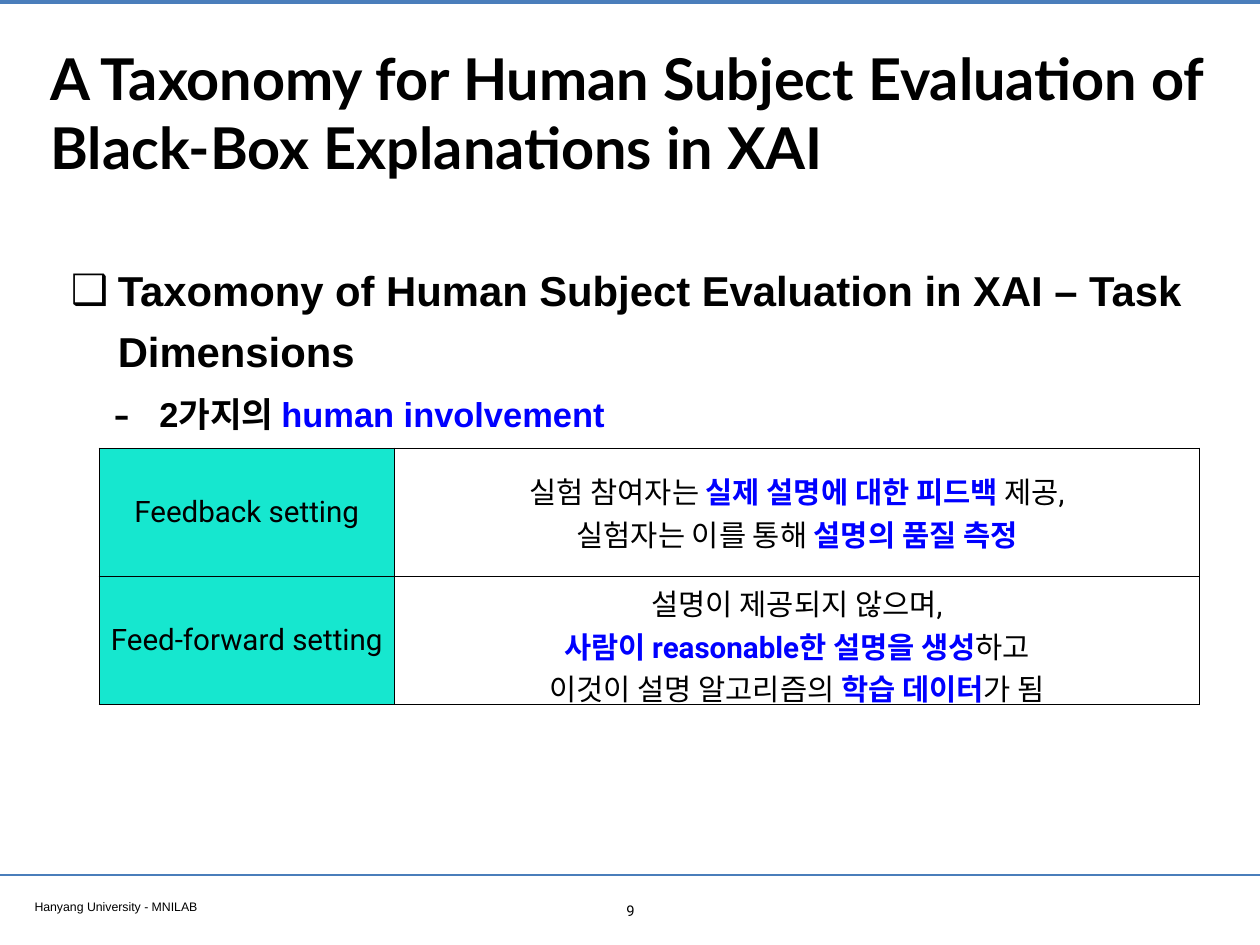
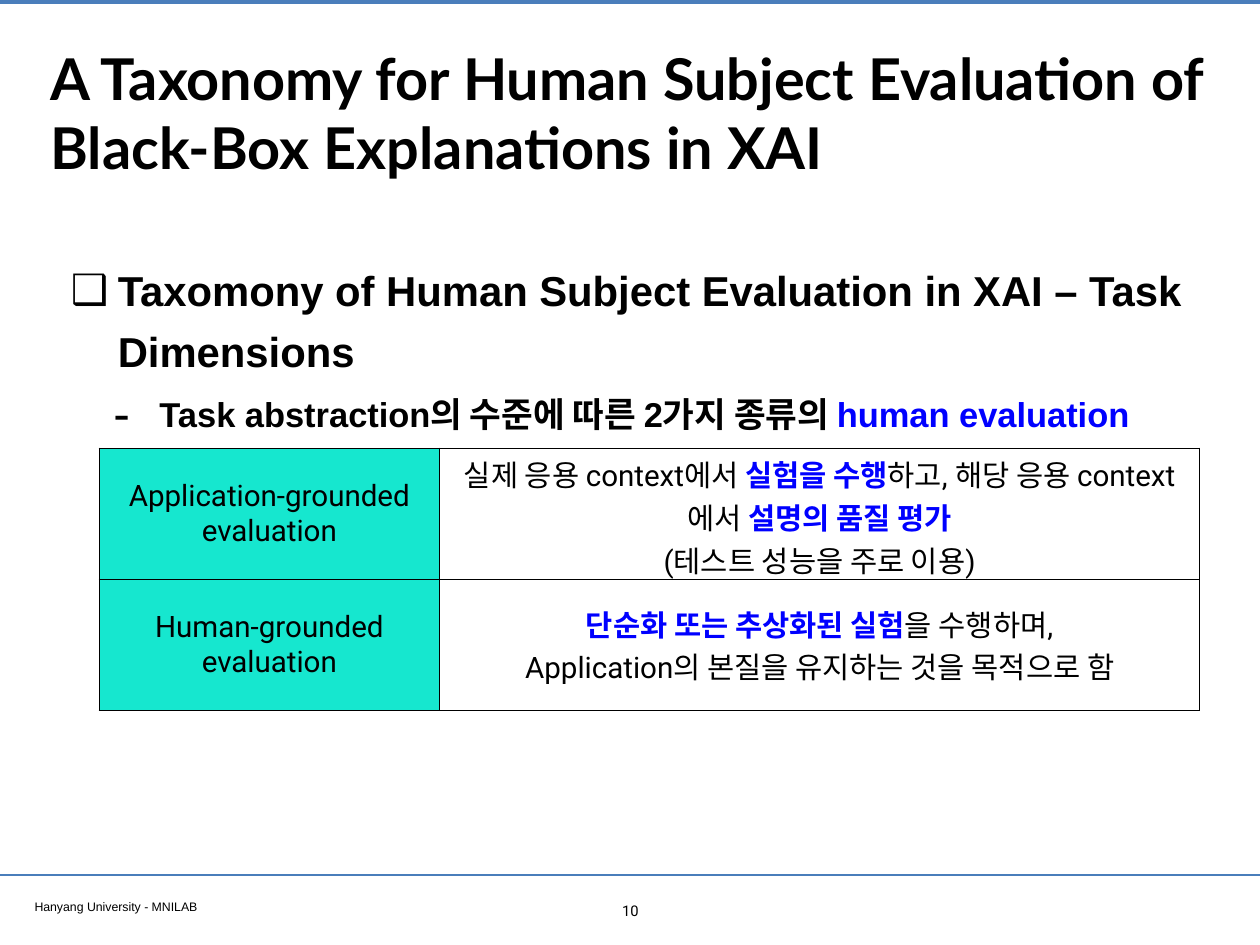
"""Build two slides on the task dimensions of human subject evaluation in XAI."""
from dataclasses import dataclass

from lxml.etree import SubElement
from pptx import Presentation
from pptx.dml.color import RGBColor
from pptx.enum.shapes import MSO_CONNECTOR
from pptx.enum.text import MSO_ANCHOR, PP_ALIGN
from pptx.oxml.ns import qn
from pptx.util import Inches, Pt


@dataclass(frozen=True)
class Theme:
    """Hold the colours, fonts and type sizes of the deck."""
    text: str = "000000"
    highlight: str = "0000FF"
    rule: str = "4A7EBB"
    label_fill: str = "16E7CF"
    cell_fill: str = "FFFFFF"
    title_font: str = "Lato"
    body_font: str = "Arial"
    table_font: str = "Roboto"
    title_size: float = 46.8
    heading_size: float = 34
    point_size: float = 28
    table_size: float = 24
    number_size: float = 12
    footer_size: float = 10


THEME = Theme()
WIDTH, HEIGHT = 14.22, 10.67
INSET = 0.06
TABLE_LEFT, TABLE_TOP, TABLE_WIDTH = 1.12, 5.06, 12.42
FIRST_NUMBER = 9
TITLE = "A Taxonomy for Human Subject Evaluation of Black-Box Explanations in XAI"
HEADING = "Taxomony of Human Subject Evaluation in XAI – Task Dimensions"
FOOTER = "Hanyang University - MNILAB"

SLIDES = [
    {
        "point": "2가지의 *human involvement*",
        "label_width": 3.33,
        "row_height": 1.45,
        "rows": [
            ("Feedback setting",
             ["실험 참여자는 *실제 설명에 대한 피드백 *제공,",
              "실험자는 이를 통해 *설명의 품질 측정*"]),
            ("Feed-forward setting",
             ["설명이 제공되지 않으며,",
              "*사람이 reasonable한 설명을 생성*하고",
              "이것이 설명 알고리즘의 *학습 데이터*가 됨"]),
        ],
    },
    {
        "point": "Task abstraction의 수준에 따른 2가지 종류의 *human evaluation*",
        "label_width": 3.84,
        "row_height": 1.48,
        "rows": [
            ("Application-grounded evaluation",
             ["실제 응용 context에서 *실험을 수행*하고, 해당 응용 context에서 *설명의 품질 평가*",
              "(테스트 성능을 주로 이용)"]),
            ("Human-grounded evaluation",
             ["*단순화 또는 추상화된 실험*을 수행하며,",
              "Application의 본질을 유지하는 것을 목적으로 함"]),
        ],
    },
]


def write_text(paragraph, text, *, font, size, bold=False, align=PP_ALIGN.LEFT):
    """Write text into a paragraph, with parts between asterisks highlighted."""
    paragraph.alignment = align
    for index, part in enumerate(text.split("*")):
        if not part:
            continue
        highlighted = index % 2 == 1
        run = paragraph.add_run()
        run.text = part
        run.font.name = font
        run.font.size = Pt(size)
        run.font.bold = bold or highlighted
        color = THEME.highlight if highlighted else THEME.text
        run.font.color.rgb = RGBColor.from_string(color)


def add_text_box(slide, left, top, width, height, anchor=MSO_ANCHOR.TOP):
    """Add a wrapping text box and return its text frame."""
    box = slide.shapes.add_textbox(Inches(left), Inches(top), Inches(width), Inches(height))
    frame = box.text_frame
    frame.word_wrap = True
    frame.vertical_anchor = anchor
    frame.margin_left = frame.margin_right = Inches(INSET)
    frame.margin_top = frame.margin_bottom = Inches(INSET)
    return frame


def add_rule(slide, top, weight):
    """Add a horizontal rule across the slide."""
    rule = slide.shapes.add_connector(
        MSO_CONNECTOR.STRAIGHT, 0, Inches(top), Inches(WIDTH), Inches(top))
    rule.line.color.rgb = RGBColor.from_string(THEME.rule)
    rule.line.width = Pt(weight)
    SubElement(rule._element.spPr, qn("a:effectLst"))


def set_bullet(paragraph, character, *, indent, hanging, percent=100):
    """Give a paragraph a bullet with a hanging indent."""
    properties = paragraph._p.get_or_add_pPr()
    properties.set("marL", str(Inches(indent)))
    properties.set("indent", str(-Inches(hanging)))
    SubElement(properties, qn("a:buSzPct"), val=str(percent * 1000))
    SubElement(properties, qn("a:buFont"), typeface=THEME.body_font)
    SubElement(properties, qn("a:buChar"), char=character)
    paragraph.line_spacing = 1.2


def add_frame(slide, number):
    """Add the rules, title, footer and number shared by all slides."""
    add_rule(slide, 0.02, 3.2)
    add_rule(slide, 9.88, 2)
    footer = add_text_box(slide, 0.33, 10.09, 5.46, 0.26)
    write_text(footer.paragraphs[0], FOOTER, font=THEME.body_font, size=THEME.footer_size)
    title = add_text_box(slide, 0.51, 0.28, 13.21, 1.97, MSO_ANCHOR.MIDDLE)
    write_text(title.paragraphs[0], TITLE, font=THEME.title_font,
               size=THEME.title_size, bold=True)
    counter = add_text_box(slide, 6.92, 10.12, 0.39, 0.31)
    write_text(counter.paragraphs[0], str(number), font=THEME.table_font,
               size=THEME.number_size, align=PP_ALIGN.CENTER)


def add_body(slide, point):
    """Add the heading and the point below it."""
    frame = add_text_box(slide, 0.74, 2.82, 13.35, 2.12)
    heading = frame.paragraphs[0]
    set_bullet(heading, "❑", indent=0.53, hanging=0.53)
    write_text(heading, HEADING, font=THEME.body_font, size=THEME.heading_size, bold=True)
    detail = frame.add_paragraph()
    detail.level = 1
    set_bullet(detail, "-", indent=1, hanging=0.52, percent=145)
    detail.space_before = Pt(8)
    write_text(detail, point, font=THEME.body_font, size=THEME.point_size, bold=True)


def set_borders(cell):
    """Draw a thin border on all four sides of a cell."""
    properties = cell._tc.get_or_add_tcPr()
    for position, side in enumerate(("lnL", "lnR", "lnT", "lnB")):
        line = properties.makeelement(qn(f"a:{side}"), {"w": str(Pt(1))})
        fill = SubElement(line, qn("a:solidFill"))
        SubElement(fill, qn("a:srgbClr"), val=THEME.text)
        properties.insert(position, line)


def fill_cell(cell, lines, color):
    """Fill a cell with centred lines on a colour."""
    cell.fill.solid()
    cell.fill.fore_color.rgb = RGBColor.from_string(color)
    cell.vertical_anchor = MSO_ANCHOR.MIDDLE
    set_borders(cell)
    frame = cell.text_frame
    for index, line in enumerate(lines):
        paragraph = frame.add_paragraph() if index else frame.paragraphs[0]
        write_text(paragraph, line, font=THEME.table_font, size=THEME.table_size,
                   align=PP_ALIGN.CENTER)


def add_setting_table(slide, rows, label_width, row_height):
    """Add the table of labels and their descriptions."""
    table = slide.shapes.add_table(
        len(rows), 2, Inches(TABLE_LEFT), Inches(TABLE_TOP),
        Inches(TABLE_WIDTH), Inches(row_height * len(rows))).table
    table.first_row = table.horz_banding = False
    table.columns[0].width = Inches(label_width)
    table.columns[1].width = Inches(TABLE_WIDTH - label_width)
    for index, (label, lines) in enumerate(rows):
        table.rows[index].height = Inches(row_height)
        fill_cell(table.cell(index, 0), [label], THEME.label_fill)
        fill_cell(table.cell(index, 1), lines, THEME.cell_fill)


def main():
    """Build the slides and save the presentation."""
    presentation = Presentation()
    presentation.slide_width = Inches(WIDTH)
    presentation.slide_height = Inches(HEIGHT)
    for number, content in enumerate(SLIDES, FIRST_NUMBER):
        slide = presentation.slides.add_slide(presentation.slide_layouts[6])
        add_frame(slide, number)
        add_body(slide, content["point"])
        add_setting_table(slide, content["rows"], content["label_width"],
                          content["row_height"])
    presentation.save("out.pptx")


if __name__ == "__main__":
    main()
